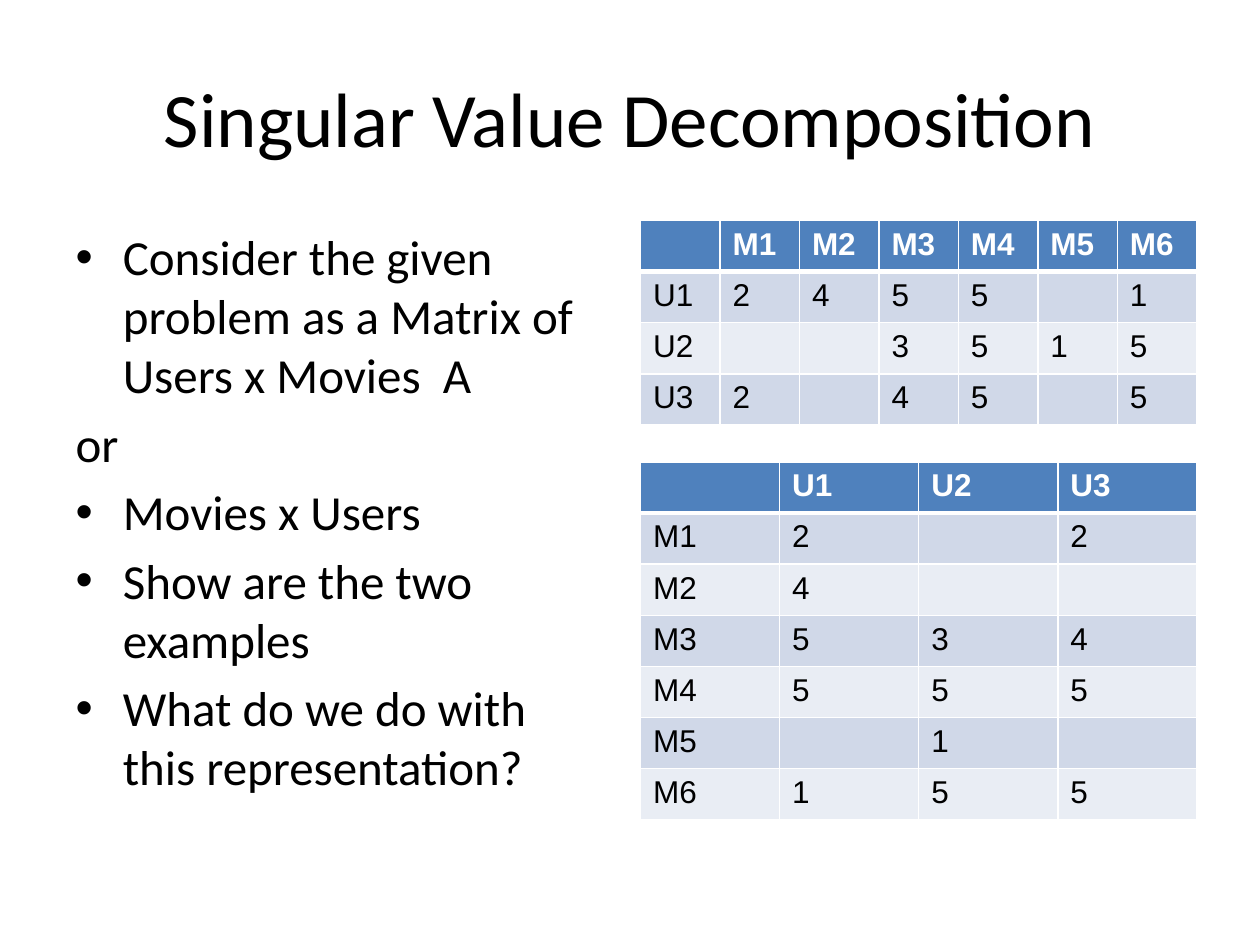
from dataclasses import dataclass

from lxml.etree import SubElement
from pptx import Presentation
from pptx.dml.color import RGBColor as RGB
from pptx.enum.text import MSO_ANCHOR as Anchor, PP_ALIGN as Align
from pptx.oxml.ns import qn
from pptx.util import Pt


@dataclass(frozen=True)
class Theme:
    """Colours, fonts and type sizes of the slide."""
    ink: RGB = RGB(0, 0, 0)
    white: RGB = RGB(255, 255, 255)
    header: RGB = RGB(0x4F, 0x81, 0xBD)
    bands: tuple = (RGB(0xD0, 0xD8, 0xE8), RGB(0xE9, 0xED, 0xF4))
    text_font: str = "Calibri"
    table_font: str = "Arial"
    title_size: float = 44
    body_size: float = 28
    table_size: float = 18


THEME = Theme()
TITLE = "Singular Value Decomposition"
POINTS = [
    ("Consider the given problem as a Matrix of Users x Movies  A", True),
    ("or", False),
    ("Movies x Users", True),
    ("Show are the two examples", True),
    ("What do we do with this representation?", True),
]
RATINGS = [
    ["", "M1", "M2", "M3", "M4", "M5", "M6"],
    ["U1", "2", "4", "5", "5", "", "1"],
    ["U2", "", "", "3", "5", "1", "5"],
    ["U3", "2", "", "4", "5", "", "5"],
]
ROW_HEIGHT = 29.2


def place(part, box):
    """Move a placeholder to box (left, top, width, height)."""
    for side, length in zip(("left", "top", "width", "height"), box):
        setattr(part, side, Pt(length))


def style_font(font, color, **formats):
    """Apply a colour and a dict of format values to a font."""
    font.color.rgb = color
    for key, value in formats.items():
        setattr(font, key, value)


def fill_title(heading, box):
    """Write the centred slide title into its placeholder."""
    place(heading, box)
    heading.text_frame.text = TITLE
    heading.text_frame.vertical_anchor = Anchor.MIDDLE
    line = heading.text_frame.paragraphs[0]
    line.alignment = Align.CENTER
    style_font(line.runs[0].font, THEME.ink, name=THEME.text_font, size=Pt(THEME.title_size))


def fill_points(points, box):
    """Write the list; unbulleted lines start at the left edge."""
    place(points, box)
    points.text_frame.text = "\n".join(text for text, _ in POINTS)
    for line, (_, bulleted) in zip(points.text_frame.paragraphs, POINTS):
        if not bulleted:
            SubElement(line._p.get_or_add_pPr(), qn("a:buNone"))
        style_font(line.runs[0].font, THEME.ink, name=THEME.text_font, size=Pt(THEME.body_size))


def add_borders(cell, widths):
    """Draw white borders on a cell, with a width for each side."""
    for side, width in widths.items():
        border = SubElement(cell._tc.get_or_add_tcPr(), qn(f"a:ln{side}"), w=str(Pt(width)))
        fill = SubElement(border, qn("a:solidFill"))
        SubElement(fill, qn("a:srgbClr"), val=str(THEME.white))


def add_matrix(slide, matrix, box):
    """Add a banded table with equal columns and rows, filling box."""
    left, top, width, height = map(Pt, box)
    table = slide.shapes.add_table(len(matrix), len(matrix[0]), left, top, width, height).table
    for r, values in enumerate(matrix):
        is_header = r == 0
        for c, value in enumerate(values):
            cell = table.cell(r, c)
            add_borders(cell, {"L": 1, "R": 1, "T": 3 if r == 1 else 1, "B": 3 if is_header else 1})
            cell.fill.solid()
            cell.fill.fore_color.rgb = THEME.header if is_header else THEME.bands[(r - 1) % 2]
            cell.text = value
            style_font(cell.text_frame.paragraphs[0].font if not value
                       else cell.text_frame.paragraphs[0].runs[0].font,
                       THEME.white if is_header else THEME.ink,
                       name=THEME.table_font, size=Pt(THEME.table_size), bold=is_header)


def build_slide(deck):
    """Lay out the title, the list and both forms of the ratings matrix."""
    slide = deck.slides.add_slide(deck.slide_layouts[1])
    fill_title(slide.shapes.title, (36, 21.6, 648, 90))
    fill_points(slide.placeholders[1], (36, 126, 318, 356.4))
    transposed = list(zip(*RATINGS))
    for matrix, top in ((RATINGS, 126), (transposed, 264)):
        add_matrix(slide, matrix, (366, top, 318, ROW_HEIGHT * len(matrix)))


deck = Presentation()
deck.slide_width, deck.slide_height = Pt(720), Pt(540)
build_slide(deck)
deck.save("out.pptx")
